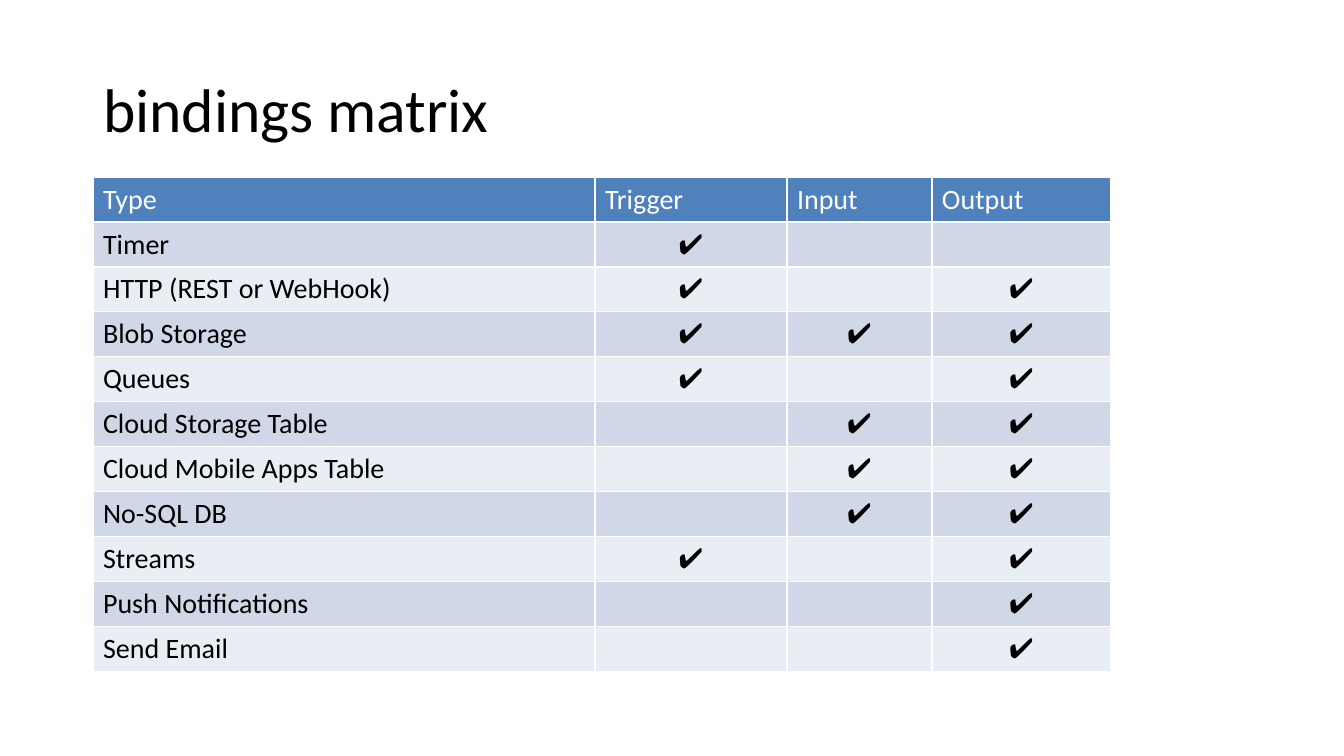
"""Build the bindings matrix slide."""
import pptx
import pptx.dml.color
import pptx.enum.text
import pptx.util

TITLE = "bindings matrix"
HEADERS = ("Type", "Trigger", "Input", "Output")
BINDINGS = [
    ("Timer", {"Trigger"}),
    ("HTTP (REST or WebHook)", {"Trigger", "Output"}),
    ("Blob Storage", {"Trigger", "Input", "Output"}),
    ("Queues", {"Trigger", "Output"}),
    ("Cloud Storage Table", {"Input", "Output"}),
    ("Cloud Mobile Apps Table", {"Input", "Output"}),
    ("No-SQL DB", {"Input", "Output"}),
    ("Streams", {"Trigger", "Output"}),
    ("Push Notifications", {"Output"}),
    ("Send Email", {"Output"}),
]
CHECK = "✔"
FONT = "Calibri"
COLORS = {
    "text": "000000",
    "header_text": "FFFFFF",
    "header": "4F81BD",
    "odd": "D0D8E8",
    "even": "E9EDF4",
}
SLIDE_SIZE = (1344, 756)
TITLE_BOX = (93, 40, 1159, 146)
TABLE_LEFT, TABLE_TOP = 93, 177
COL_WIDTHS = (502, 192, 145, 179)
ROW_HEIGHT = 45
EMU_PER_PX = 914400 / 100.8


def px(n):
    """Turn pixels into EMU."""
    return pptx.util.Emu(round(n * EMU_PER_PX))


def rgb(name):
    """Look up a named colour."""
    return pptx.dml.color.RGBColor.from_string(COLORS[name])


def add_run(p, text, size, color):
    """Add one formatted run to a paragraph."""
    r = p.add_run()
    r.text = text
    r.font.name = FONT
    r.font.size = pptx.util.Pt(size)
    r.font.bold = False
    r.font.color.rgb = rgb(color)


def add_title(s):
    """Place and fill the title placeholder."""
    sp = s.shapes.title
    sp.left, sp.top, sp.width, sp.height = map(px, TITLE_BOX)
    tf = sp.text_frame
    tf.word_wrap = True
    tf.vertical_anchor = pptx.enum.text.MSO_ANCHOR.MIDDLE
    p = tf.paragraphs[0]
    p.alignment = pptx.enum.text.PP_ALIGN.LEFT
    p.line_spacing = 0.9
    add_run(p, TITLE, 44, "text")


def add_matrix(s):
    """Add the table of bindings and their check marks."""
    rows = [HEADERS] + [
        (kind, *(CHECK if h in supported else "" for h in HEADERS[1:]))
        for kind, supported in BINDINGS
    ]
    frame = s.shapes.add_table(
        len(rows), len(HEADERS), px(TABLE_LEFT), px(TABLE_TOP),
        px(sum(COL_WIDTHS)), px(ROW_HEIGHT * len(rows)))
    table = frame.table
    for col, width in zip(table.columns, COL_WIDTHS):
        col.width = px(width)
    for i, row in enumerate(rows):
        table.rows[i].height = px(ROW_HEIGHT)
        fill = "header" if i == 0 else "odd" if i % 2 else "even"
        color = "text" if i else "header_text"
        for j, text in enumerate(row):
            cell = table.cell(i, j)
            cell.fill.solid()
            cell.fill.fore_color.rgb = rgb(fill)
            cell.vertical_anchor = pptx.enum.text.MSO_ANCHOR.MIDDLE
            p = cell.text_frame.paragraphs[0]
            if text == CHECK:
                p.alignment = pptx.enum.text.PP_ALIGN.CENTER
            if text:
                add_run(p, text, 20, color)


def main():
    """Create and save the presentation."""
    prs = pptx.Presentation()
    prs.slide_width, prs.slide_height = map(px, SLIDE_SIZE)
    s = prs.slides.add_slide(prs.slide_layouts[5])
    add_title(s)
    add_matrix(s)
    prs.save("out.pptx")


if __name__ == "__main__":
    main()
